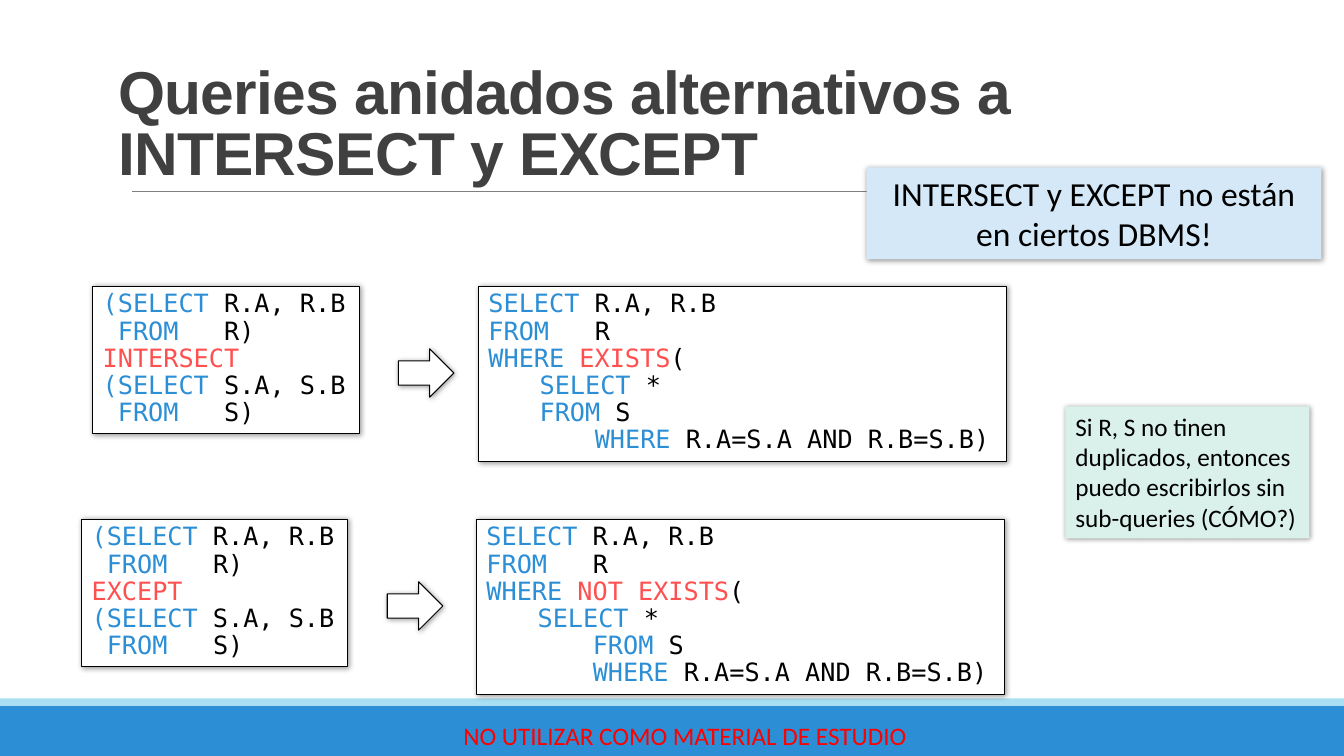
import lxml.etree
import pptx
import pptx.dml.color
import pptx.enum.shapes
import pptx.enum.text
import pptx.oxml.ns
import pptx.util
from pptx.util import Cm

COLORS = {"blue": "2C8ED5", "aqua": "A8DFF3", "gray": "808080", "title": "404040", "black": "000000",
          "white": "FFFFFF", "red": "FF5050", "notice": "FF0000", "sky": "D5E8F7", "mint": "D9F1EA"}
SHAPES = pptx.enum.shapes.MSO_SHAPE
ANCHOR = pptx.enum.text.MSO_ANCHOR
ALIGN = pptx.enum.text.PP_ALIGN
CODE_FONT = "DejaVu Sans Mono"
ROWS = [
    ("INTERSECT", "EXISTS", 1.29, 2.34, 12.06, 7.21),
    ("EXCEPT", "NOT EXISTS", 2.68, 2.06, 12.01, 13.08),
]


def rgb(name):
    """Return the named palette colour."""
    return pptx.dml.color.RGBColor.from_string(COLORS[name])


def style_font(font, name, size, color=None):
    """Set the face, size and optional colour of a font."""
    font.name = name
    font.size = pptx.util.Pt(size)
    if color:
        font.color.rgb = rgb(color)


def add_effects(shape, shadow):
    """Give a shape a soft offset shadow, or an empty effect list."""
    properties = shape._element.spPr
    effects = lxml.etree.SubElement(properties, pptx.oxml.ns.qn("a:effectLst"))
    if shadow:
        outer = lxml.etree.SubElement(effects, pptx.oxml.ns.qn("a:outerShdw"), blurRad="50800",
                                      dist="12700", dir="2700000", algn="tl", rotWithShape="0")
        tint = lxml.etree.SubElement(outer, pptx.oxml.ns.qn("a:srgbClr"), val=COLORS["black"])
        lxml.etree.SubElement(tint, pptx.oxml.ns.qn("a:alpha"), val="40000")


def add_panel(page, kind, box, fill, outlined=False, shadow=True):
    """Add a filled shape in a box given in centimetres."""
    panel = page.shapes.add_shape(kind, *map(Cm, box))
    panel.fill.solid()
    panel.fill.fore_color.rgb = rgb(fill)
    if outlined:
        panel.line.color.rgb = rgb("black")
        panel.line.width = pptx.util.Pt(0.75)
    else:
        panel.line.fill.background()
    add_effects(panel, shadow)
    return panel


def write_text(shape, text, size, color, align, anchor=ANCHOR.TOP):
    """Write one wrapped Calibri paragraph into a shape."""
    frame = shape.text_frame
    frame.word_wrap = True
    frame.vertical_anchor = anchor
    para = frame.paragraphs[0]
    para.text = text
    para.alignment = align
    style_font(para.font, "Calibri", size, color)


def add_title(page, box):
    """Place and format the title placeholder."""
    title = page.shapes.title
    title.left, title.top, title.width, title.height = map(Cm, box)
    frame = title.text_frame
    frame.word_wrap = True
    frame.auto_size = pptx.enum.text.MSO_AUTO_SIZE.NONE
    frame.vertical_anchor = ANCHOR.BOTTOM
    para = frame.paragraphs[0]
    para.text = "Queries anidados alternativos a INTERSECT y EXCEPT"
    para.alignment = ALIGN.LEFT
    para.line_spacing = 0.85
    style_font(para.font, "Arial", 43.2, "title")
    para.font.bold = True
    para.runs[0].font._element.set("spc", "-50")


def add_rule(page, left, top, width):
    """Draw the thin line below the title."""
    rule = page.shapes.add_connector(pptx.enum.shapes.MSO_CONNECTOR.STRAIGHT,
                                     Cm(left), Cm(top), Cm(left + width), Cm(top))
    rule.line.color.rgb = rgb("gray")
    rule.line.width = pptx.util.Pt(0.5)
    add_effects(rule, False)


def add_footer(page, left, top, width, height):
    """Draw the footer bands and the notice on them."""
    add_panel(page, SHAPES.RECTANGLE, (left, top, width, height), "blue", shadow=False)
    add_panel(page, SHAPES.RECTANGLE, (left, top - 0.18, width, 0.18), "aqua", shadow=False)
    notice = page.shapes.add_textbox(Cm(left + 10.57), Cm(top + 0.25), Cm(13.39), Cm(1.02))
    write_text(notice, "NO UTILIZAR COMO MATERIAL DE ESTUDIO", 18, "notice", ALIGN.CENTER, ANCHOR.MIDDLE)


def add_code(page, box, tab, lines):
    """Add a code panel whose lines are indent, keyword, operator and rest."""
    panel = add_panel(page, SHAPES.RECTANGLE, box, "white", outlined=True)
    frame = panel.text_frame
    frame.word_wrap = True
    frame.vertical_anchor = ANCHOR.TOP
    for index, (indent, *parts) in enumerate(lines):
        para = frame.add_paragraph() if index else frame.paragraphs[0]
        para.alignment = ALIGN.LEFT
        para.line_spacing = 0.9
        settings = para._p.get_or_add_pPr()
        settings.set("marL", str(Cm(indent)))
        stops = lxml.etree.SubElement(settings, pptx.oxml.ns.qn("a:tabLst"))
        lxml.etree.SubElement(stops, pptx.oxml.ns.qn("a:tab"), pos=str(Cm(tab)), algn="l")
        style_font(para.font, CODE_FONT, 18)
        for text, color in zip(parts, ("blue", "red", "black")):
            if text:
                span = para.add_run()
                span.text = text
                span.font.color.rgb = rgb(color)


def add_row(page, operator, test, from_indent, left, nested_left, top):
    """Place a set query, an arrow and its nested equivalent."""
    set_lines = [
        (0, "(SELECT", "", " R.A, R.B"),
        (0, " FROM", "", "\tR)"),
        (0, "", operator, ""),
        (0, "(SELECT", "", " S.A, S.B"),
        (0, " FROM", "", "\tS)"),
    ]
    nested_lines = [
        (0, "SELECT", "", " R.A, R.B"),
        (0, "FROM", "", "\tR"),
        (0, "WHERE ", test, "("),
        (1.29, "SELECT", "", " *"),
        (from_indent, "FROM", "", " S"),
        (2.68, "WHERE", "", " R.A=S.A AND R.B=S.B)"),
    ]
    add_code(page, (left, top, 6.71, 3.71), 3.06, set_lines)
    add_panel(page, SHAPES.RIGHT_ARROW, (left + 7.7, top + 1.58, 1.4, 1.22), "white", outlined=True)
    add_code(page, (nested_left, top, 13.31, 4.42), 2.68, nested_lines)


def add_note(page, box, fill, text, size, align):
    """Add a coloured note."""
    note = add_panel(page, SHAPES.RECTANGLE, box, fill)
    write_text(note, text, size, "black", align)


def main():
    """Build the slide and save it."""
    deck = pptx.Presentation()
    deck.slide_width, deck.slide_height = Cm(33.87), Cm(19.05)
    page = deck.slides.add_slide(deck.slide_layouts[5])
    add_footer(page, 0, 17.78, 33.87, 1.27)
    add_rule(page, 3.33, 4.82, 27.69)
    add_title(page, (2.72, 1.19, 31.14, 3.68))
    for row in ROWS:
        add_row(page, *row)
    add_note(page, (21.84, 4.22, 11.46, 2.31), "sky",
             "INTERSECT y EXCEPT no están en ciertos DBMS!", 24, ALIGN.CENTER)
    add_note(page, (26.85, 10.24, 6.15, 3.33), "mint",
             "Si R, S no tinen duplicados, entonces puedo escribirlos sin sub-queries (CÓMO?)", 18, ALIGN.LEFT)
    deck.save("out.pptx")


if __name__ == "__main__":
    main()
